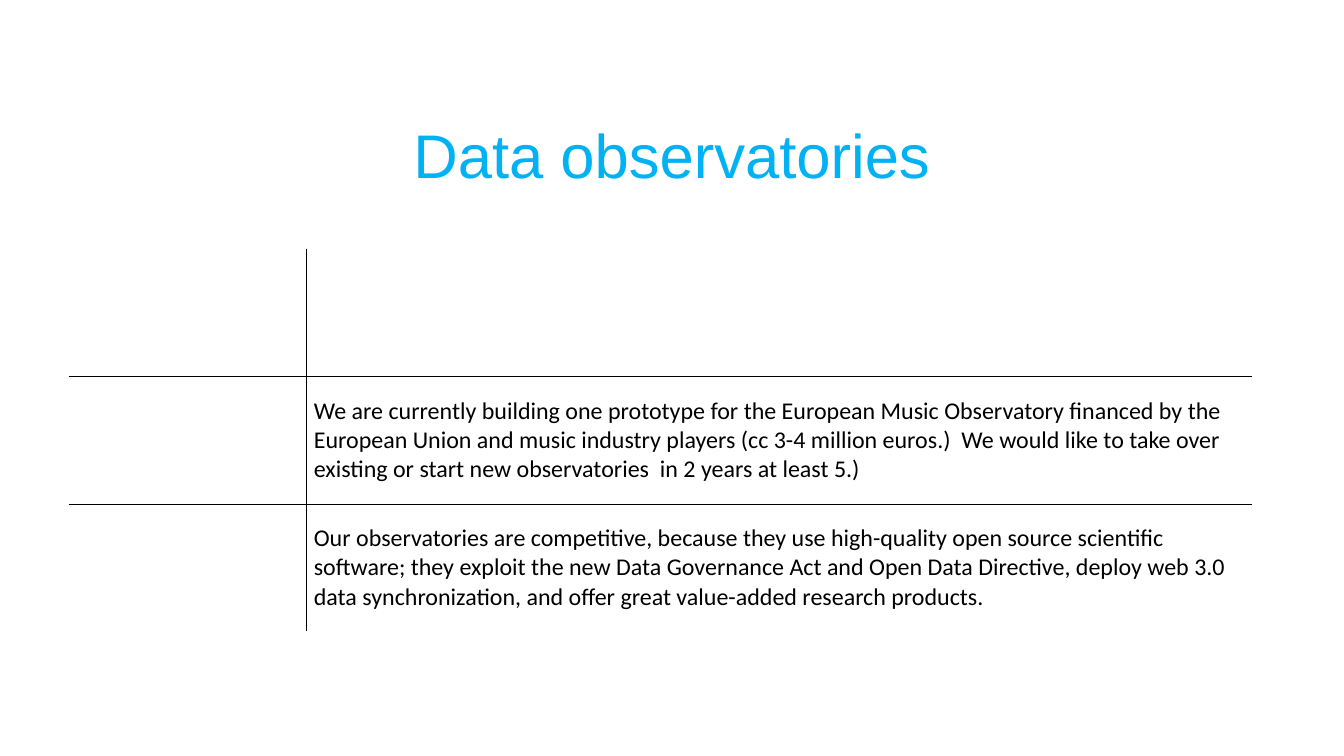
"""Build the data observatories slide: a title above a ruled table."""
from lxml import etree
from pptx import Presentation
from pptx import util as u
from pptx.dml.color import RGBColor
from pptx.enum import text
from pptx.oxml.ns import qn

TITLE = "Data observatories"
ROWS = [
    ("", ""),
    ("", "We are currently building one prototype for the European Music Observatory "
         "financed by the European Union and music industry players (cc 3-4 million euros.)  "
         "We would like to take over existing or start new observatories  in 2 years at least 5.)"),
    ("", "Our observatories are competitive, because they use high-quality open source "
         "scientific software; they exploit the new Data Governance Act and Open Data Directive, "
         "deploy web 3.0 data synchronization, and offer great value-added research products."),
]
COLORS = {"title": "00B2F4", "text": "000000", "rule": "000000", "paper": "FFFFFF"}
WIDTH, HEIGHT = 18.67, 10.5
TITLE_BOX = (1.28, 1.19, 16.1, 2.03)
TABLE_LEFT, TABLE_TOP = 0.96, 3.46
COLUMN_WIDTHS = (3.3, 13.12)
ROW_HEIGHT = 1.77


def write(frame, content, size, font, color, align=text.PP_ALIGN.LEFT, spacing=1.0):
    """Put one formatted paragraph into a text frame."""
    frame.word_wrap = True
    paragraph = frame.paragraphs[0]
    paragraph.alignment, paragraph.line_spacing = align, spacing
    run = paragraph.add_run()
    run.text = content
    run.font.size, run.font.name, run.font.bold = u.Pt(size), font, False
    run.font.color.rgb = RGBColor.from_string(COLORS[color])


def add_borders(cell, row, column):
    """Rule the inner edges of the table and leave the outer ones in paper colour."""
    outer = {"lnL": column == 0, "lnR": column == len(COLUMN_WIDTHS) - 1,
             "lnT": row == 0, "lnB": row == len(ROWS) - 1}
    properties = cell._tc.get_or_add_tcPr()
    for edge, is_outer in outer.items():
        line = etree.SubElement(properties, qn(f"a:{edge}"), w=str(u.Pt(1)))
        fill = etree.SubElement(line, qn("a:solidFill"))
        etree.SubElement(fill, qn("a:srgbClr"), val=COLORS["paper" if is_outer else "rule"])


def add_table(slide):
    """Add the table with its cell text, borders and fills."""
    box = (TABLE_LEFT, TABLE_TOP, sum(COLUMN_WIDTHS), ROW_HEIGHT * len(ROWS))
    table = slide.shapes.add_table(len(ROWS), len(COLUMN_WIDTHS), *map(u.Inches, box)).table
    table.first_row = table.horz_banding = False
    for column, width in zip(table.columns, COLUMN_WIDTHS):
        column.width = u.Inches(width)
    for row, contents in enumerate(ROWS):
        table.rows[row].height = u.Inches(ROW_HEIGHT)
        for column, content in enumerate(contents):
            cell = table.cell(row, column)
            add_borders(cell, row, column)
            cell.fill.solid()
            cell.fill.fore_color.rgb = RGBColor.from_string(COLORS["paper"])
            cell.vertical_anchor = text.MSO_ANCHOR.MIDDLE
            if content:
                write(cell.text_frame, content, 24, "Calibri", "text")


def main():
    presentation = Presentation()
    presentation.slide_width, presentation.slide_height = u.Inches(WIDTH), u.Inches(HEIGHT)
    slide = presentation.slides.add_slide(presentation.slide_layouts[5])
    add_table(slide)
    title = slide.shapes.title
    title.left, title.top, title.width, title.height = map(u.Inches, TITLE_BOX)
    title.text_frame.auto_size = text.MSO_AUTO_SIZE.NONE
    title.text_frame.vertical_anchor = text.MSO_ANCHOR.MIDDLE
    write(title.text_frame, TITLE, 61.6, "Arial", "title", text.PP_ALIGN.CENTER, 0.9)
    presentation.save("out.pptx")


if __name__ == "__main__":
    main()
